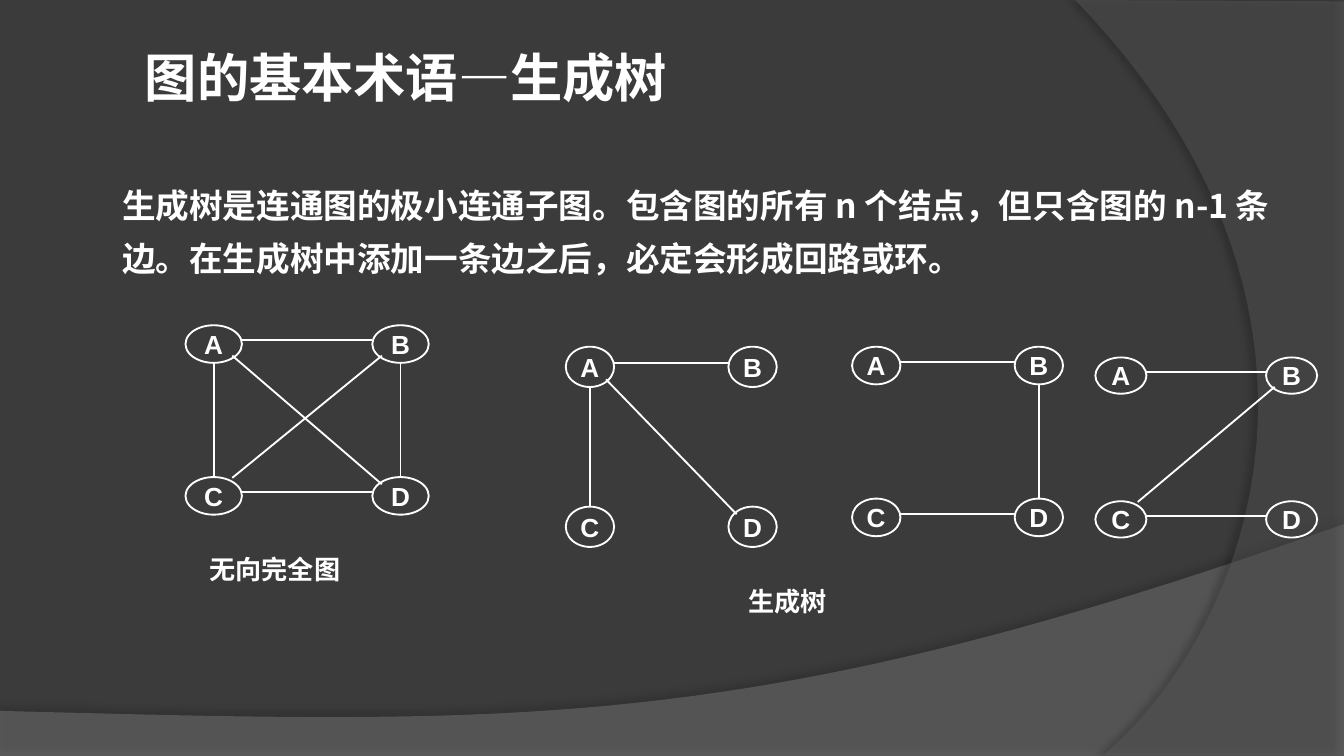
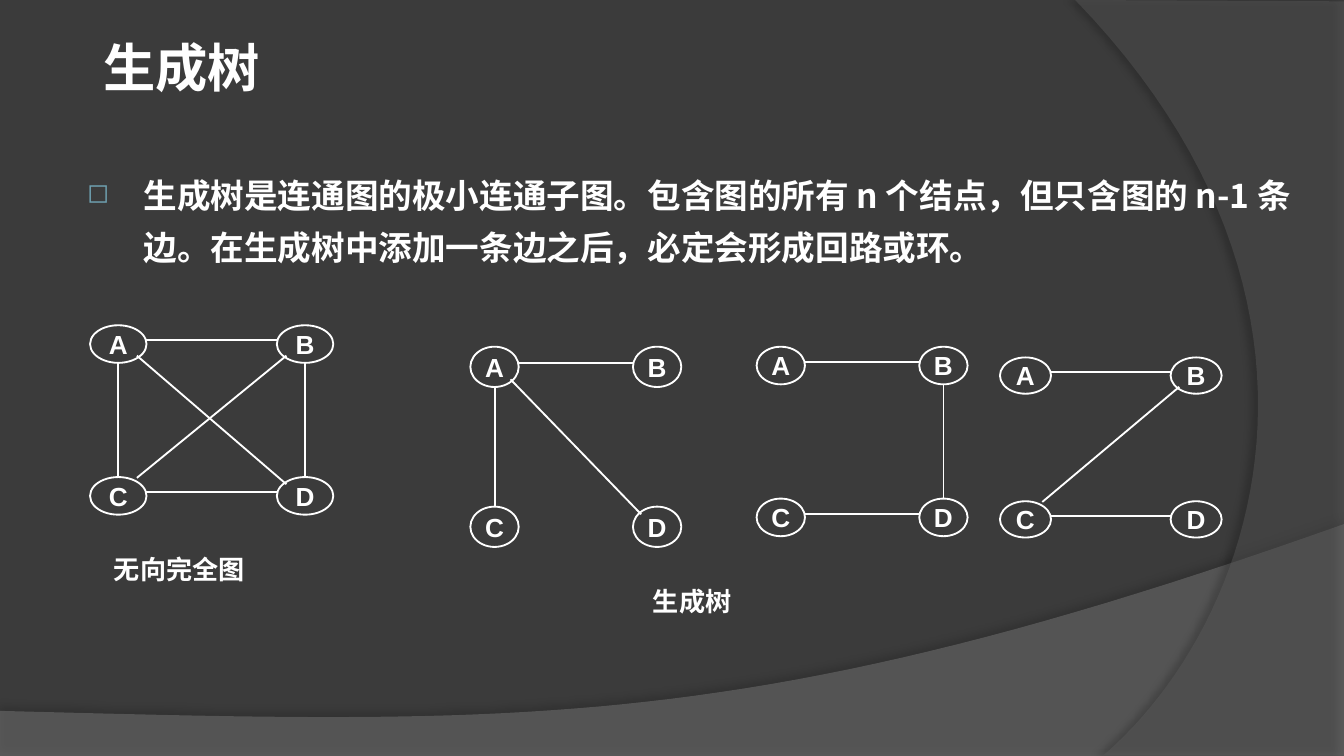
from dataclasses import dataclass

from lxml import etree
from pptx import Presentation
from pptx.dml.color import RGBColor
from pptx.enum.shapes import MSO_CONNECTOR as Connector, MSO_SHAPE as Shape
from pptx.enum.text import MSO_ANCHOR as Anchor, PP_ALIGN as Align
from pptx.oxml.ns import qn
from pptx.util import Inches, Pt


@dataclass(frozen=True)
class Theme:
    background: str = "3B3B3B"
    wave: str = "7F7F7F"
    arc: str = "5E5E5E"
    shadow: str = "000000"
    ink: str = "FFFFFF"
    bullet: str = "6EA0B0"
    heading_font: str = "Noto Sans CJK SC"
    caption_font: str = "Times New Roman"
    node_font: str = "Arial"
    title_size: int = 28
    body_size: int = 18
    label_size: int = 14
    line_width: int = 1


@dataclass(frozen=True)
class Graph:
    left: float
    top: float
    column_step: float
    row_step: float
    node_width: float
    node_height: float
    edges: tuple

    def center(self, node):
        row, column = divmod("ABCD".index(node), 2)
        return (self.left + column * self.column_step + self.node_width / 2,
                self.top + row * self.row_step + self.node_height / 2)

    def edge_ends(self, start, end):
        """Points where an edge leaves the rims of its two nodes."""
        (x1, y1), (x2, y2) = self.center(start), self.center(end)
        if x1 == x2:
            return (x1, y1 + self.node_height / 2), (x2, y2 - self.node_height / 2)
        if y1 == y2:
            y = y1 - 0.1 * self.node_height
            return (x1 + self.node_width / 2, y), (x2 - self.node_width / 2, y)
        dx, dy = 0.33 * self.node_width, 0.31 * self.node_height
        if start == "C":
            return (x1 + dx, y1 - 0.48 * self.node_height), (x2 - dx, y2 + dy)
        return (x1 + dx, y1 + dy), (x2 - dx, y2 - dy)


DEFINITION = ("生成树是连通图的极小连通子图。包含图的所有 n 个结点，但只含图的 n-1 条边。"
              "在生成树中添加一条边之后，必定会形成回路或环。")
GRAPHS = (
    Graph(1.38, 2.42, 1.39, 1.13, 0.42, 0.28, ("AB", "CD", "AC", "AD", "BD", "CB")),
    Graph(4.21, 2.58, 1.21, 1.19, 0.36, 0.3, ("AB", "AC", "AD")),
    Graph(6.34, 2.58, 1.21, 1.13, 0.36, 0.28, ("AB", "CD", "BD")),
    Graph(8.15, 2.66, 1.27, 1.07, 0.38, 0.27, ("AB", "CD", "CB")),
)
CAPTIONS = (("无向完全图", 1.46, 4.07), ("生成树", 5.47, 4.31))


def bezier(p0, p1, p2, p3, steps=48):
    """Points along a cubic curve, both ends included."""
    points = []
    for step in range(steps + 1):
        t = step / steps
        u = 1 - t
        points.append(tuple(
            u**3 * a + 3 * u * u * t * b + 3 * u * t * t * c + t**3 * d
            for a, b, c, d in zip(p0, p1, p2, p3)))
    return points


def add_element(parent, tag, **attributes):
    return etree.SubElement(parent, qn(tag), {k: str(v) for k, v in attributes.items()})


class Deck:
    def __init__(self, theme):
        self.theme = theme
        self.presentation = Presentation()
        self.presentation.slide_width = Inches(10)
        self.presentation.slide_height = Inches(10 * 9 / 16)
        self.slide = None

    def new_slide(self):
        theme = self.theme
        self.slide = self.presentation.slides.add_slide(self.presentation.slide_layouts[6])
        background = self.slide.background.fill
        background.solid()
        background.fore_color.rgb = RGBColor.from_string(theme.background)
        wave = bezier((10, 3.9), (5.59, 5.47), (3.91, 5.39), (0, 5.29))
        self.band([(0, 5.63), (10, 5.63), *wave], theme.wave, 45, (35, 3.5, 270))
        arc = bezier((8.21, 5.62), (9.35, 4.64), (10.18, 2.25), (8, 0))
        self.band([(10, 0.01), (10, 5.62), *arc], theme.arc, 40, (45, 4, 180))

    def band(self, points, color, opacity, shadow):
        """Translucent outline; shadow is opacity, distance and direction."""
        emu = [(Inches(x), Inches(y)) for x, y in points]
        builder = self.slide.shapes.build_freeform(*emu[0], scale=1.0)
        builder.add_line_segments(emu[1:], close=True)
        outline = builder.convert_to_shape()
        outline.fill.solid()
        outline.fill.fore_color.rgb = RGBColor.from_string(color)
        outline.line.fill.background()
        properties = outline.element.spPr
        fill_color = properties.find(qn("a:solidFill")).find(qn("a:srgbClr"))
        add_element(fill_color, "a:alpha", val=opacity * 1000)
        shade, distance, direction = shadow
        outer = add_element(add_element(properties, "a:effectLst"), "a:outerShdw",
                            blurRad=Pt(4), dist=Pt(distance), dir=direction * 60000,
                            algn="ctr", rotWithShape=0)
        shadow_color = add_element(outer, "a:srgbClr", val=self.theme.shadow)
        add_element(shadow_color, "a:alpha", val=shade * 1000)

    def style(self, paragraph, size, font):
        for run in paragraph.runs:
            run.font.size = Pt(size)
            run.font.bold = True
            run.font.name = font
            run.font.color.rgb = RGBColor.from_string(self.theme.ink)
            add_element(run.font._element, "a:ea", typeface=self.theme.heading_font)

    def text(self, words, left, top, width, height, size, font):
        frame = self.slide.shapes.add_textbox(
            Inches(left), Inches(top), Inches(width), Inches(height)).text_frame
        frame.word_wrap = True
        frame.text = words
        paragraph = frame.paragraphs[0]
        self.style(paragraph, size, font)
        return paragraph

    def title(self, words, left, top):
        self.text(words, left, top, 5.43, 0.57,
                  self.theme.title_size, self.theme.heading_font)

    def body(self, words, left, top, height, bulleted):
        paragraph = self.text(words, left, top, 9.29, height,
                              self.theme.body_size, self.theme.heading_font)
        paragraph.line_spacing = 1.3
        properties = paragraph._p.get_or_add_pPr()
        properties.set("marL", str(Inches(0.46)))
        properties.set("indent", str(Inches(-0.42 if bulleted else 0)))
        if bulleted:
            color = add_element(properties, "a:buClr")
            add_element(color, "a:srgbClr", val=self.theme.bullet)
            add_element(properties, "a:buSzPct", val=80000)
            add_element(properties, "a:buChar", char="◻")

    def caption(self, words, left, top):
        self.text(words, left, top, 1.57, 0.34,
                  self.theme.label_size, self.theme.caption_font)

    def node(self, shapes, label, center, width, height):
        x, y = center
        ellipse = shapes.add_shape(Shape.OVAL, Inches(x - width / 2), Inches(y - height / 2),
                                   Inches(width), Inches(height))
        ellipse.shadow.inherit = False
        ellipse.fill.background()
        self.stroke(ellipse.line)
        frame = ellipse.text_frame
        frame.word_wrap = False
        frame.vertical_anchor = Anchor.MIDDLE
        frame.text = label
        frame.paragraphs[0].alignment = Align.CENTER
        self.style(frame.paragraphs[0], self.theme.label_size, self.theme.node_font)

    def edge(self, shapes, start, end):
        line = shapes.add_connector(Connector.STRAIGHT, *(Inches(v) for v in (*start, *end)))
        self.stroke(line.line)
        add_element(line.element.spPr, "a:effectLst")

    def stroke(self, line):
        line.color.rgb = RGBColor.from_string(self.theme.ink)
        line.width = Pt(self.theme.line_width)

    def graph(self, graph, shift):
        group = self.slide.shapes.add_group_shape()
        for label in "ABCD":
            self.node(group.shapes, label, graph.center(label),
                      graph.node_width, graph.node_height)
        for start, end in graph.edges:
            self.edge(group.shapes, *graph.edge_ends(start, end))
        group.left += Inches(shift)

    def examples(self, shift=0):
        """The complete graph and its three spanning trees, with captions."""
        for graph in GRAPHS:
            self.graph(graph, shift)
        for words, left, top in CAPTIONS:
            self.caption(words, left + shift, top)


def main():
    deck = Deck(Theme())

    deck.new_slide()
    deck.body(DEFINITION, 0.35, 1.24, 1.1, bulleted=False)
    deck.title("图的基本术语—生成树", 0.98, 0.29)
    deck.examples()

    deck.new_slide()
    deck.body(DEFINITION, 0.51, 1.16, 2.52, bulleted=True)
    deck.title("生成树", 0.67, 0.21)
    deck.examples(shift=-0.71)

    deck.presentation.save("out.pptx")


if __name__ == "__main__":
    main()
